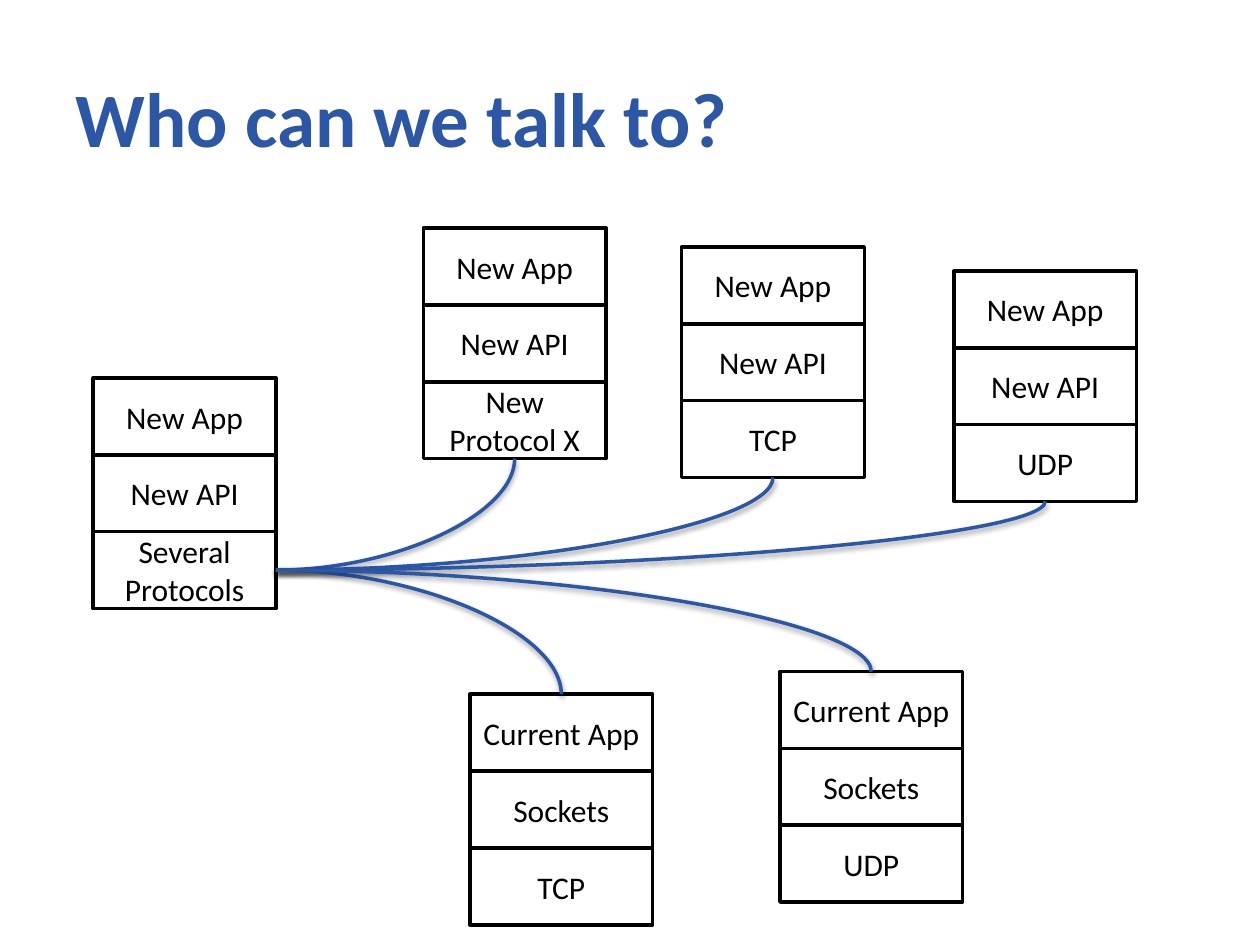
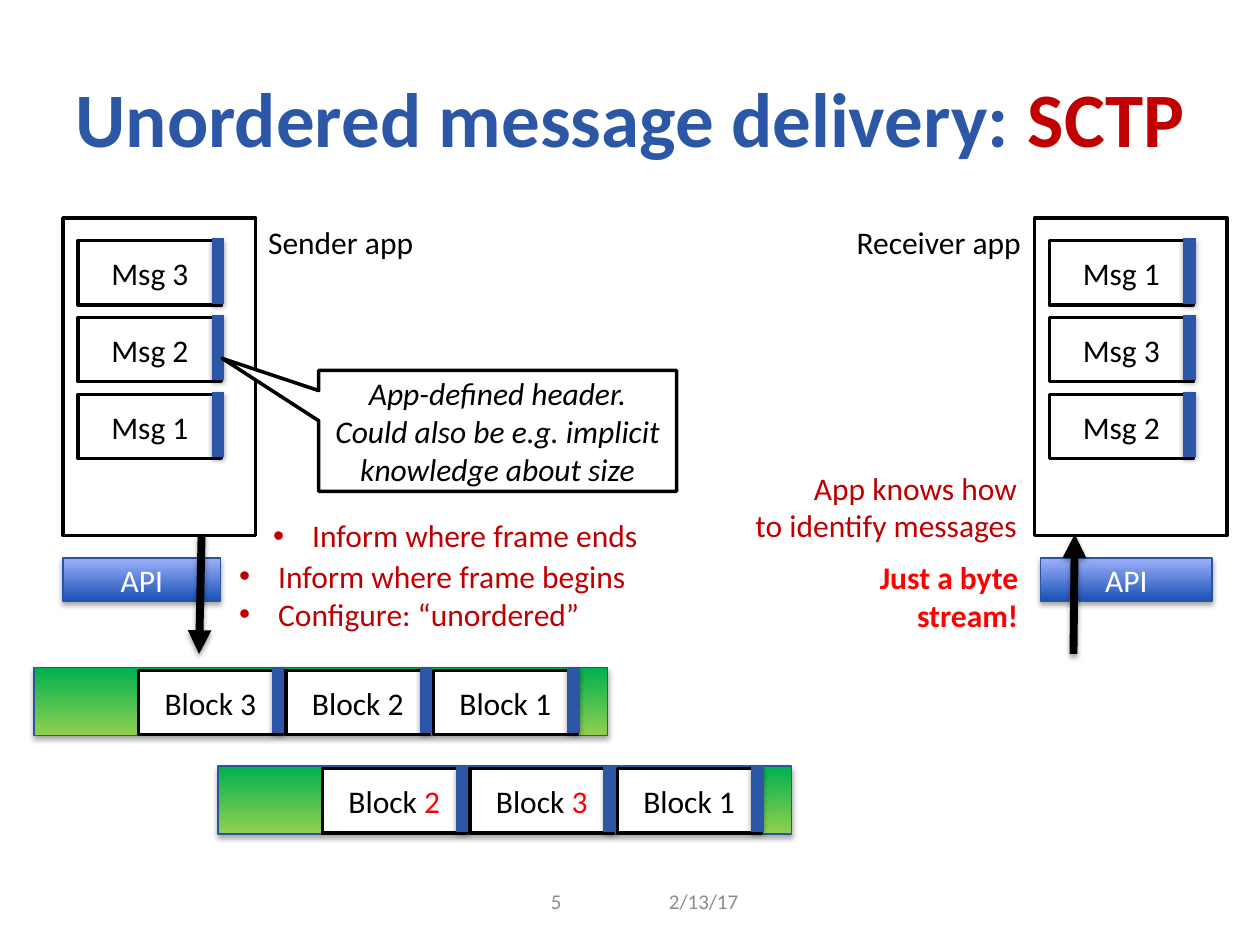
from lxml import etree
from pptx import Presentation
from pptx.dml.color import RGBColor
from pptx.enum import shapes, text
from pptx.oxml import ns
from pptx.util import Inches, Pt

BLUE = RGBColor(0x2B, 0x57, 0xA6)
EDGE_BLUE = RGBColor(0x27, 0x54, 0xA5)
DARK_RED = RGBColor(0xC0, 0x00, 0x00)
RED = RGBColor(0xFF, 0x00, 0x00)
BLACK = RGBColor(0x00, 0x00, 0x00)
WHITE = RGBColor(0xFF, 0xFF, 0xFF)
GREY = RGBColor(0x8C, 0x8C, 0x8C)
API_GRADIENT = RGBColor(0x19, 0x52, 0xB8), RGBColor(0x9D, 0xB0, 0xFA)
STREAM_GRADIENT = RGBColor(0x92, 0xD0, 0x50), RGBColor(0x00, 0xB0, 0x50)

FONT = "Calibri"
LEFT, CENTER, RIGHT = text.PP_ALIGN.LEFT, text.PP_ALIGN.CENTER, text.PP_ALIGN.RIGHT
TOP_SITE, BOTTOM_SITE, RIGHT_SITE = 0, 2, 3

LAYER_WIDTH, LAYER_HEIGHT = 1.45, 0.61
FRAME_WIDTH, FRAME_HEIGHT = 1.14, 0.51


def add_child(parent, tag, **attributes):
    child = etree.SubElement(parent, ns.qn(tag))
    for name, value in attributes.items():
        child.set(name, str(value))
    return child


class Deck:
    """Holds the shared style and the slide being drawn."""

    def __init__(self):
        self.presentation = Presentation()
        self.presentation.slide_width = Inches(10)
        self.presentation.slide_height = Inches(7.5)
        self.slide = None

    def new_slide(self, title, accent="", width=9):
        layout = self.presentation.slide_layouts[5]
        self.slide = self.presentation.slides.add_slide(layout)
        shape = self.slide.shapes.title
        shape.left, shape.top = Inches(0.5), Inches(0.3)
        shape.width, shape.height = Inches(width), Inches(1.25)
        shape.text_frame.auto_size = text.MSO_AUTO_SIZE.NONE
        shape.text_frame.vertical_anchor = text.MSO_ANCHOR.MIDDLE
        self.set_text(shape, title, BLUE, LEFT, size=44, bold=True,
                      accent=accent, accent_color=DARK_RED)

    def group(self):
        return self.slide.shapes.add_group_shape().shapes

    def set_text(self, shape, words, color=BLACK, align=CENTER, size=18,
                 bold=False, italic=False, accent="", accent_color=RED):
        frame = shape.text_frame
        frame.text = words
        if accent:
            frame.paragraphs[0].add_run().text = accent
        for paragraph in frame.paragraphs:
            paragraph.alignment = align
            for run in paragraph.runs:
                run.font.name, run.font.size = FONT, Pt(size)
                run.font.bold, run.font.italic = bold, italic
                run.font.color.rgb = color
        if accent:
            frame.paragraphs[0].runs[-1].font.color.rgb = accent_color

    def shadow(self, shape, alpha, distance):
        properties = shape.element.spPr
        effects = properties.find(ns.qn("a:effectLst"))
        if effects is None:
            effects = add_child(properties, "a:effectLst")
        outer = add_child(effects, "a:outerShdw", blurRad=Pt(3.1), dist=Pt(distance),
                          dir=5400000, rotWithShape=0)
        add_child(add_child(outer, "a:srgbClr", val=BLACK), "a:alpha", val=alpha * 1000)

    def box(self, left, top, width, height, words="", into=None,
            kind=shapes.MSO_SHAPE.RECTANGLE, **style):
        target = into or self.slide.shapes
        shape = target.add_shape(kind, Inches(left), Inches(top),
                                 Inches(width), Inches(height))
        shape.shadow.inherit = False
        shape.fill.solid()
        shape.fill.fore_color.rgb = WHITE
        shape.line.color.rgb = BLACK
        shape.line.width = Pt(2)
        if words:
            self.set_text(shape, words, **style)
        return shape

    def gradient_box(self, left, top, width, height, colors, words="", into=None):
        shape = self.box(left, top, width, height, words, into, color=WHITE)
        shape.fill.gradient()
        shape.fill.gradient_angle = 90
        for stop, color in zip(shape.fill.gradient_stops, colors):
            stop.color.rgb = color
        shape.line.color.rgb = EDGE_BLUE
        shape.line.width = Pt(0.75)
        self.shadow(shape, 35, 1.8)

    def line(self, start, end, color, width, into=None, arrow=False,
             kind=shapes.MSO_CONNECTOR.STRAIGHT):
        target = into or self.slide.shapes
        connector = target.add_connector(kind, *map(Inches, start + end))
        connector.line.color.rgb = color
        connector.line.width = Pt(width)
        if arrow:
            outline = connector.element.spPr.find(ns.qn("a:ln"))
            add_child(outline, "a:tailEnd", type="triangle")
        self.shadow(connector, 38, 1.6)
        return connector

    def curve(self, source, target, site):
        connector = self.line((0, 0), (1, 1), BLUE, 2, kind=shapes.MSO_CONNECTOR.CURVE)
        connector.begin_connect(source, RIGHT_SITE)
        connector.end_connect(target, site)
        geometry = connector.element.spPr.find(ns.qn("a:prstGeom"))
        geometry.set("prst", "curvedConnector2")

    def label(self, left, top, width, height, words, color=BLACK, align=LEFT,
              bullets=False, **style):
        shape = self.slide.shapes.add_textbox(Inches(left), Inches(top),
                                              Inches(width), Inches(height))
        shape.text_frame.word_wrap = False
        shape.text_frame.auto_size = text.MSO_AUTO_SIZE.SHAPE_TO_FIT_TEXT
        self.set_text(shape, words, color, align, **style)
        if bullets:
            for properties in shape.element.iter(ns.qn("a:pPr")):
                properties.set("marL", str(Inches(0.31)))
                properties.set("indent", str(-Inches(0.31)))
                add_child(properties, "a:buFont", typeface="Arial")
                add_child(properties, "a:buChar", char="•")

    def footer(self, left, words):
        shape = self.slide.shapes.add_textbox(Inches(left), Inches(6.95),
                                              Inches(1.17), Inches(0.4))
        shape.text_frame.word_wrap = True
        shape.text_frame.vertical_anchor = text.MSO_ANCHOR.MIDDLE
        self.set_text(shape, words, GREY, size=12)

    def stack(self, left, top, layers):
        group = self.group()
        return [self.box(left, top + row * LAYER_HEIGHT, LAYER_WIDTH, LAYER_HEIGHT,
                         words, group)
                for row, words in enumerate(layers)]

    def framed_message(self, left, top, words, into, accent=""):
        """A message box with its header bar at the right edge."""
        self.box(left, top, FRAME_WIDTH, FRAME_HEIGHT, words, into, accent=accent)
        x, y = left + 1.11, top - 0.02
        self.line((x, y), (x, y + 0.52), BLUE, 7.25, into)

    def application(self, left, messages):
        self.box(left, 1.73, 1.53, 2.52)
        for row, words in enumerate(messages):
            self.framed_message(left + 0.12, 1.91 + row * 0.61, words, self.group())

    def byte_stream(self, left, top, blocks):
        group = self.group()
        self.gradient_box(left, top, 4.55, 0.54, STREAM_GRADIENT, into=group)
        for column, (words, accent) in enumerate(blocks):
            self.framed_message(left + 0.83 + column * 1.17, top + 0.02,
                                words, group, accent)


def build_peers(deck):
    deck.new_slide("Who can we talk to?")

    # Protocol stacks
    new, current = ["New App", "New API"], ["Current App", "Sockets"]
    host = deck.stack(0.74, 3, new + ["Several Protocols"])
    upper_peers = [deck.stack(3.36, 1.81, new + ["New Protocol X"]),
                   deck.stack(5.41, 1.96, new + ["TCP"]),
                   deck.stack(7.57, 2.15, new + ["UDP"])]
    lower_peers = [deck.stack(3.73, 5.51, current + ["TCP"]),
                   deck.stack(6.19, 5.33, current + ["UDP"])]

    # Links from the host's protocol layer
    for peer in upper_peers:
        deck.curve(host[-1], peer[-1], BOTTOM_SITE)
    for peer in lower_peers:
        deck.curve(host[-1], peer[0], TOP_SITE)


def build_delivery(deck):
    deck.new_slide("Unordered message delivery: ", "SCTP", width=9.23)
    deck.footer(5, "2/13/17")
    deck.footer(3.83, "5")

    # Sender and receiver
    deck.application(0.5, ["Msg 3", "Msg 2", "Msg 1"])
    deck.application(8.21, ["Msg 1", "Msg 3", "Msg 2"])
    deck.label(2.03, 1.72, 1.37, 0.4, "Sender app")
    deck.label(6.7, 1.72, 1.52, 0.4, "Receiver app")

    # APIs and data flow
    deck.gradient_box(0.5, 4.43, 1.25, 0.34, API_GRADIENT, "API")
    deck.gradient_box(8.26, 4.43, 1.36, 0.34, API_GRADIENT, "API")
    deck.line((1.6, 4.24), (1.58, 5.19), BLACK, 4.5, arrow=True)
    deck.line((8.52, 5.19), (8.53, 4.24), BLACK, 4.5, arrow=True)

    # Byte streams, in sent order and reordered
    deck.byte_stream(0.27, 5.3, [("Block 3", ""), ("Block 2", ""), ("Block 1", "")])
    deck.byte_stream(1.73, 6.08, [("Block ", "2"), ("Block ", "3"), ("Block 1", "")])

    # Annotations
    callout = deck.box(2.53, 2.94, 2.84, 0.96,
                       "App-defined header.\vCould also be e.g. implicit knowledge about size",
                       kind=shapes.MSO_SHAPE.RECTANGULAR_CALLOUT, italic=True)
    callout.adjustments[0], callout.adjustments[1] = -0.77, -0.6
    deck.label(2.07, 4.05, 3.13, 0.4, "Inform where frame ends", DARK_RED, bullets=True)
    deck.label(1.8, 4.37, 3.31, 0.71,
               "Inform where frame begins\nConfigure: “unordered”", DARK_RED, bullets=True)
    deck.label(5.87, 3.67, 2.3, 0.71, "App knows how\vto identify messages",
               DARK_RED, RIGHT)
    deck.label(6.87, 4.38, 1.31, 0.71, "Just a byte\vstream!", RED, RIGHT, bold=True)


def main():
    deck = Deck()
    build_peers(deck)
    build_delivery(deck)
    deck.presentation.save("out.pptx")


if __name__ == "__main__":
    main()
